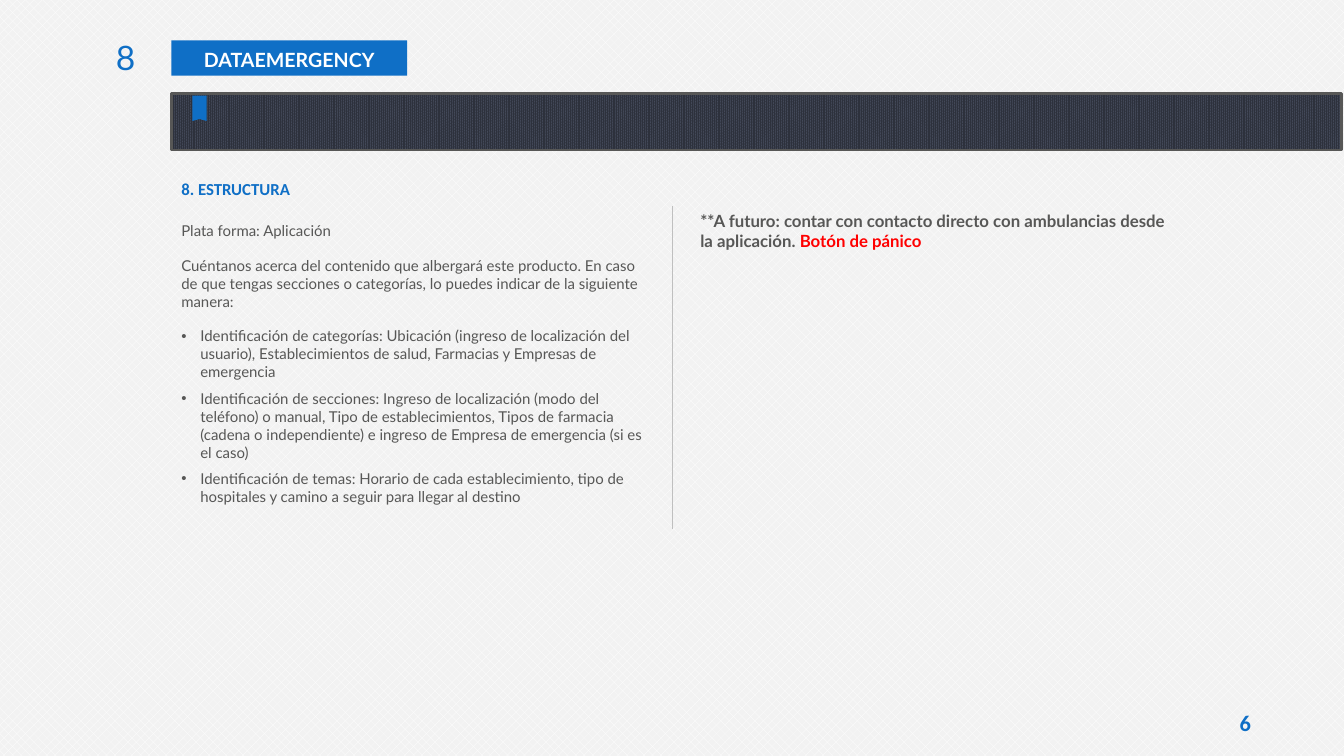
import pptx
import pptx.util
import pptx.dml.color
import pptx.enum.dml
import pptx.enum.shapes
import pptx.enum.text
import pptx.oxml
from pptx.oxml.ns import qn

Cm = pptx.util.Cm
Pt = pptx.util.Pt
ALIGN = pptx.enum.text.PP_ALIGN
ANCHOR = pptx.enum.text.MSO_ANCHOR
BLUE, GREY, WHITE, RED = "0F6FC6", "575756", "FFFFFF", "FF0000"

INTRO = [
    "Plata forma: Aplicación",
    "Cuéntanos acerca del contenido que albergará este producto. En caso de que tengas "
    "secciones o categorías, lo puedes indicar de la siguiente manera:",
]
SECTIONS = [
    "Identificación de categorías: Ubicación (ingreso de localización del usuario), "
    "Establecimientos de salud, Farmacias y Empresas de emergencia",
    "Identificación de secciones: Ingreso de localización (modo del teléfono) o manual, "
    "Tipo de establecimientos, Tipos de farmacia (cadena o independiente) e ingreso de "
    "Empresa de emergencia (si es el caso)",
    "Identificación de temas: Horario de cada establecimiento, tipo de hospitales y camino "
    "a seguir para llegar al destino",
]


def color(value):
    return pptx.dml.color.RGBColor.from_string(value)


def fill_pattern(fill, pattern, front, back):
    fill.patterned()
    fill.pattern = pptx.enum.dml.MSO_PATTERN.from_xml(pattern)
    fill.fore_color.rgb = color(front)
    fill.back_color.rgb = color(back)


def add_span(para, text, size=12, font="Lato", ink=GREY, bold=False):
    span = para.add_run()
    span.text = text
    span.font.size = Pt(size)
    span.font.name = font
    span.font.bold = bold
    span.font.color.rgb = color(ink)


def add_bullet(para, indent):
    properties = para._p.get_or_add_pPr()
    properties.set("marL", str(indent))
    properties.set("indent", str(-indent))
    for tag, name, value in (("a:buFont", "typeface", "Arial"), ("a:buChar", "char", "•")):
        element = pptx.oxml.parse_xml(
            f'<{tag} xmlns:a="http://schemas.openxmlformats.org/drawingml/2006/main"/>')
        element.set(name, value)
        properties.append(element)


class SlideBuilder:
    def __init__(self, page):
        self.page = page
        fill_pattern(page.background.fill, "pct40", WHITE, "F2F2F2")

    def rectangle(self, left, top, width, height):
        shape = self.page.shapes.add_shape(
            pptx.enum.shapes.MSO_SHAPE.RECTANGLE, Cm(left), Cm(top), Cm(width), Cm(height))
        shape.shadow.inherit = False
        return shape

    def banner(self, text, *place):
        shape = self.rectangle(*place)
        shape.fill.solid()
        shape.fill.fore_color.rgb = color(BLUE)
        shape.line.fill.background()
        shape.text_frame.vertical_anchor = ANCHOR.MIDDLE
        para = shape.text_frame.paragraphs[0]
        para.alignment = ALIGN.CENTER
        para.line_spacing = 1.1
        add_span(para, text, size=14, ink=WHITE, bold=True)

    def bar(self, *place):
        shape = self.rectangle(*place)
        fill_pattern(shape.fill, "pct90", "2D313C", "444A5A")
        shape.line.color.rgb = color(GREY)
        shape.line.width = Pt(2)

    def ribbon(self, first, *others):
        builder = self.page.shapes.build_freeform(Cm(first[0]), Cm(first[1]))
        builder.add_line_segments([(Cm(x), Cm(y)) for x, y in others])
        shape = builder.convert_to_shape()
        shape.shadow.inherit = False
        shape.fill.solid()
        shape.fill.fore_color.rgb = color(BLUE)
        shape.line.fill.background()

    def divider(self, x, top, bottom):
        line = self.page.shapes.add_connector(
            pptx.enum.shapes.MSO_CONNECTOR.STRAIGHT, Cm(x), Cm(top), Cm(x), Cm(bottom))
        line.line.color.rgb = color("BFBFBF")
        line.line.width = Pt(0.75)
        properties = line._element.spPr
        properties.append(properties.makeelement(qn("a:effectLst"), {}))

    def text_box(self, left, top, width, height):
        box = self.page.shapes.add_textbox(Cm(left), Cm(top), Cm(width), Cm(height))
        box.text_frame.word_wrap = True
        return box.text_frame

    def label(self, text, *place, align=ALIGN.LEFT, **style):
        frame = self.text_box(*place)
        para = frame.paragraphs[0]
        para.alignment = align
        add_span(para, text, **style)
        return frame

    def body(self, intro, sections, *place):
        frame = self.text_box(*place)
        for index, text in enumerate(intro + sections):
            para = frame.add_paragraph() if index else frame.paragraphs[0]
            para.space_before = Pt(6)
            if index < len(intro):
                para.space_after = Pt(6)
            else:
                add_bullet(para, Cm(0.48))
            add_span(para, text, size=10.7)


def main():
    deck = pptx.Presentation()
    deck.slide_width, deck.slide_height = Cm(33.87), Cm(19.05)
    slide = SlideBuilder(deck.slides.add_slide(deck.slide_layouts[6]))

    number = slide.label("6", 30.61, 17.78, 1.55, 0.84, align=ALIGN.CENTER,
                         size=16, font="Calibri", ink=BLUE, bold=True)
    number.margin_left = number.margin_right = Cm(0.13)
    number.margin_top = number.margin_bottom = Cm(0.05)
    number.vertical_anchor = ANCHOR.MIDDLE

    slide.banner("DATAEMERGENCY", 4.32, 1.02, 5.94, 0.89)
    slide.label("8", 1.98, 0.81, 1.68, 1.27, align=ALIGN.RIGHT, size=24, ink=BLUE)
    slide.bar(4.32, 2.36, 29.49, 1.42)
    slide.ribbon((5.21, 2.41), (5.21, 3.05), (5.03, 3), (4.85, 3.05), (4.85, 2.41))
    slide.divider(16.94, 5.18, 13.34)
    slide.label("8. ESTRUCTURA", 4.32, 4.37, 12.04, 0.76,
                font="Calibri", ink=BLUE, bold=True)
    slide.body(INTRO, SECTIONS, 4.32, 5.46, 12.37, 6.78)

    future = slide.label(
        "**A futuro: contar con contacto directo con ambulancias desde la aplicación. ",
        17.4, 5.18, 12.37, 2.16, bold=True)
    para = future.paragraphs[0]
    para.space_before = para.space_after = Pt(6)
    add_span(para, "Botón de pánico", ink=RED, bold=True)

    deck.save("out.pptx")


if __name__ == "__main__":
    main()
